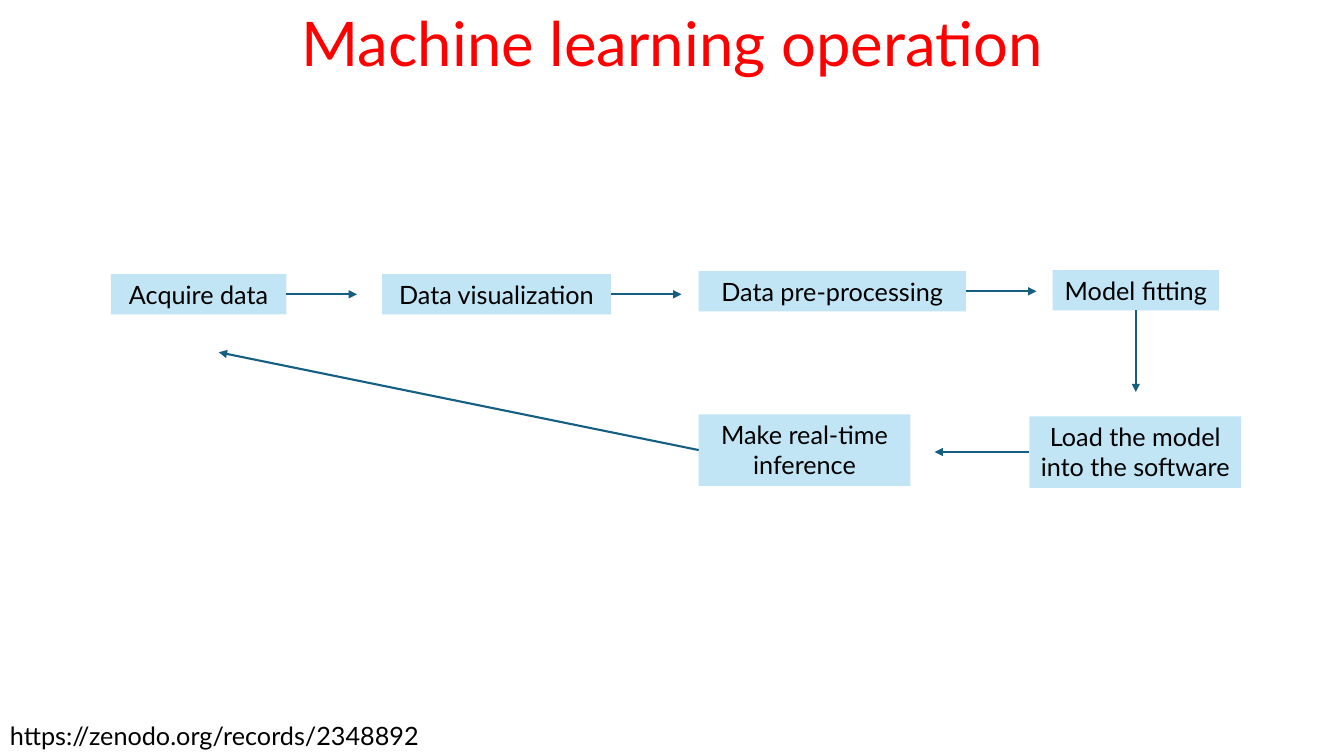
"""Build a slide showing the machine learning operation cycle."""
from lxml.etree import SubElement
from pptx import Presentation
from pptx.dml.color import RGBColor
from pptx.enum.shapes import MSO_CONNECTOR as Connector, MSO_SHAPE as Shape
from pptx.enum.text import MSO_ANCHOR as Anchor, PP_ALIGN as Align
from pptx.oxml.ns import qn
from pptx.util import Inches, Pt


def color(value):
    return RGBColor.from_string(value)


def write(frame, text, size, ink, align):
    frame.word_wrap = True
    para = frame.paragraphs[0]
    para.text = text
    para.alignment = align
    para.font.name = "Lato"
    para.font.size = Pt(size)
    para.font.color.rgb = color(ink)
    return para


TOP, LEFT, BOTTOM, RIGHT = range(4)
ONE_LINE, TWO_LINES = 0.4, 0.71

STEPS = [
    ("Acquire data", 1.1, 2.72, 1.74, ONE_LINE, RIGHT, (0.7, 0)),
    ("Data visualization", 3.79, 2.72, 2.27, ONE_LINE, RIGHT, (0.7, 0)),
    ("Data pre-processing", 6.93, 2.69, 2.65, ONE_LINE, RIGHT, (0.7, 0)),
    ("Model fitting", 10.44, 2.68, 1.65, ONE_LINE, BOTTOM, (0, 0.81)),
    ("Load the model into the software", 10.21, 4.13, 2.1, TWO_LINES, LEFT, (-0.94, 0)),
    ("Make real-time inference", 6.93, 4.11, 2.1, TWO_LINES, LEFT, (-4.76, -0.97)),
]

deck = Presentation()
deck.slide_width, deck.slide_height = Inches(13.33), Inches(7.5)
page = deck.slides.add_slide(deck.slide_layouts[5])

title = page.shapes.title
title.left, title.top = Inches(0.92), Inches(-0.26)
title.width, title.height = Inches(11.5), Inches(1.45)
title.text_frame.vertical_anchor = Anchor.MIDDLE
heading = write(title.text_frame, "Machine learning operation", 44, "FF0000", Align.CENTER)
heading.line_spacing = 0.9

source = page.shapes.add_textbox(0, Inches(7.1), deck.slide_width // 2, Inches(ONE_LINE))
write(source.text_frame, "https://zenodo.org/records/2348892", 18, "000000", Align.LEFT)

for label, left, top, width, height, side, (run, rise) in STEPS:
    box = page.shapes.add_shape(
        Shape.RECTANGLE, Inches(left), Inches(top), Inches(width), Inches(height))
    box.shadow.inherit = False
    box.fill.solid()
    box.fill.fore_color.rgb = color("C1E5F5")
    box.line.fill.background()
    box.text_frame.vertical_anchor = Anchor.TOP
    write(box.text_frame, label, 18, "000000", Align.CENTER)

    start_x = left + width * {LEFT: 0, BOTTOM: 0.5, RIGHT: 1}[side]
    start_y = top + height * (1 if side == BOTTOM else 0.5)
    arrow = page.shapes.add_connector(
        Connector.STRAIGHT, Inches(start_x), Inches(start_y),
        Inches(start_x + run), Inches(start_y + rise))
    arrow.begin_connect(box, side)
    arrow.line.color.rgb = color("156082")
    arrow.line.width = Pt(1.5)
    SubElement(arrow.line._get_or_add_ln(), qn("a:tailEnd"), type="triangle")
    SubElement(arrow._element.spPr, qn("a:effectLst"))

deck.save("out.pptx")
